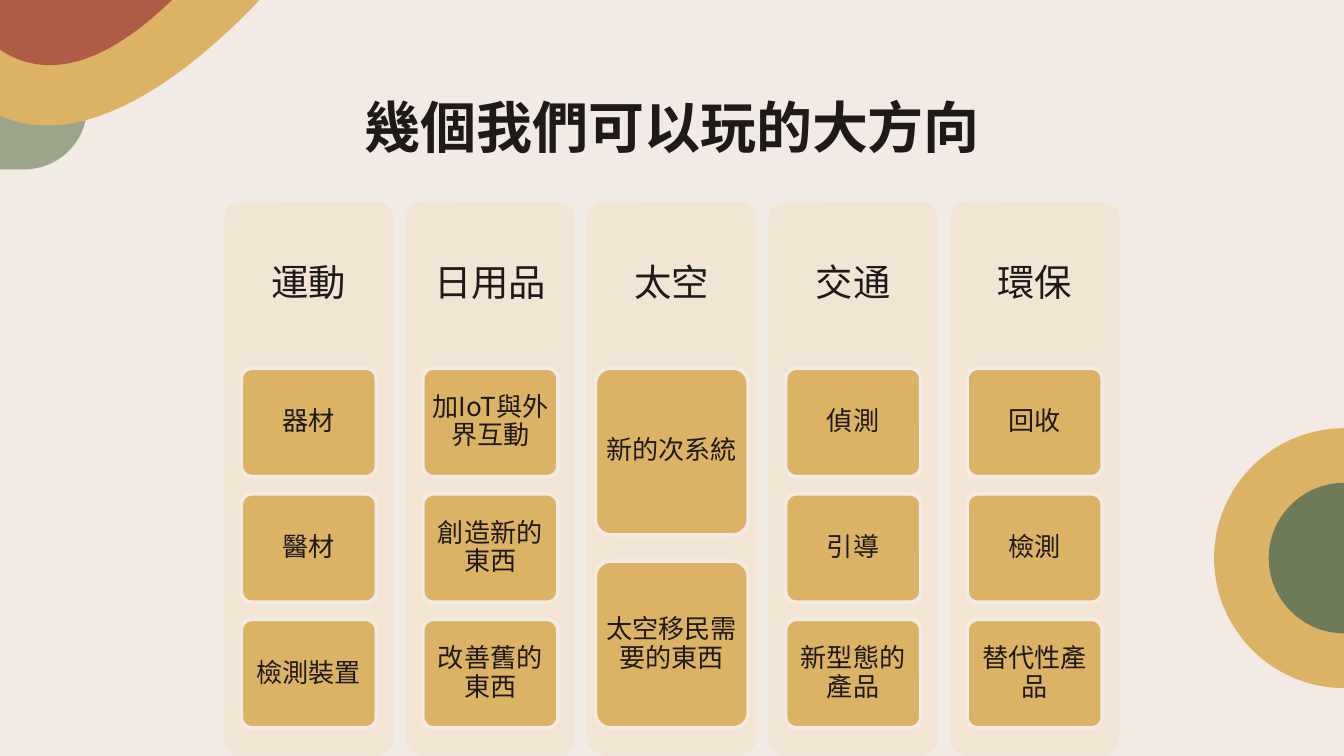
from lxml.etree import SubElement
from pptx import Presentation
from pptx.dml.color import RGBColor
from pptx.enum.shapes import MSO_SHAPE as SHAPE
from pptx.enum.text import MSO_ANCHOR as ANCHOR, PP_ALIGN as ALIGN
from pptx.oxml.ns import qn
from pptx.util import Pt

COLORS = {
    "background": "F1EAE5", "column": "F2E5D3", "gold": "DCB364", "rust": "AF5C46",
    "sage": "9CA589", "green": "6E7B59", "text": "1F191A",
}
RGB = {name: RGBColor.from_string(value) for name, value in COLORS.items()}
FONT = "Noto Sans CJK TC"


def add_curved(s, color, points, curves):
    outline = [(Pt(x), Pt(y)) for x, y in points]
    builder = s.shapes.build_freeform(*outline[0])
    builder.add_line_segments(outline[1:], close=True)
    sp = builder.convert_to_shape()
    segments = list(sp._element.iter(qn("a:lnTo")))
    for i in range(0, 3 * curves, 3):
        bezier = SubElement(segments[i].getparent(), qn("a:cubicBezTo"))
        segments[i].addprevious(bezier)
        for segment in segments[i:i + 3]:
            bezier.append(segment[0])
            segment.getparent().remove(segment)
    sp.shadow.inherit = False
    sp.fill.solid()
    sp.fill.fore_color.rgb = RGB[color]
    sp.line.fill.background()


def write(shape, text, size, inset_x, inset_y, anchor=ANCHOR.MIDDLE, spacing=0.9, bold=False):
    tf = shape.text_frame
    tf.word_wrap = True
    tf.vertical_anchor = anchor
    tf.margin_left = tf.margin_right = Pt(inset_x)
    tf.margin_top = tf.margin_bottom = Pt(inset_y)
    p = tf.paragraphs[0]
    p.text = text
    p.alignment = ALIGN.CENTER
    p.line_spacing = spacing
    p.font.size = Pt(size)
    p.font.bold = bold
    p.font.color.rgb = RGB["text"]
    p.font.name = FONT
    SubElement(p._p.pPr.find(qn("a:defRPr")), qn("a:ea"), typeface=FONT)


prs = Presentation()
prs.slide_width, prs.slide_height = Pt(720), Pt(405)
s = prs.slides.add_slide(prs.slide_layouts[6])
s.background.fill.solid()
s.background.fill.fore_color.rgb = RGB["background"]

corner = [
    ("sage", [(13, 90.7), (31.7, 90.7), (46.6, 75.6), (46.6, 57.6),
              (46.6, 43.9), (0, 43.9), (0, 90.7)]),
    ("gold", [(0, 61.9), (52.6, 85.7), (116.6, 23.8), (139.5, -0.5), (0, -0.5)]),
    ("rust", [(0, 26.6), (30.2, 46.8), (64.1, 27.4), (92.7, -0.5), (0, -0.5)]),
]
for color, points in corner:
    add_curved(s, color, points, 1)

middle = 299
for color, radius in [("gold", 69.6), ("green", 40.3)]:
    k = radius * 0.55
    left = 720 - radius
    upper = [(720, middle - radius), (720 - k, middle - radius), (left, middle - k)]
    lower = [(x, 2 * middle - y) for x, y in reversed(upper)]
    add_curved(s, color, upper + [(left, middle)] + lower, 2)

columns = [
    ("運動", ["器材", "醫材", "檢測裝置"]),
    ("日用品", ["加IoT與外界互動", "創造新的東西", "改善舊的東西"]),
    ("太空", ["新的次系統", "太空移民需要的東西"]),
    ("交通", ["偵測", "引導", "新型態的產品"]),
    ("環保", ["回收", "檢測", "替代性產品"]),
]
card_sizes = {2: (82, 89.4, 103.4), 3: (72.5, 58.2, 67.3)}
column_width, column_top, card_top = 90.6, 108, 197.2

for i, (heading, cards) in enumerate(columns):
    x = 120.2 + 97.2 * i
    width, height, pitch = card_sizes[len(cards)]
    card_left = x + (column_width - width) / 2
    panels = [("column", x, column_top, column_width, 296.8, None)]
    panels += [("gold", card_left, card_top + pitch * j, width, height, card)
               for j, card in enumerate(cards)]
    for color, left, top, w, h, text in panels:
        sp = s.shapes.add_shape(SHAPE.ROUNDED_RECTANGLE, Pt(left), Pt(top), Pt(w), Pt(h))
        sp.adjustments[0] = 0.1
        sp.shadow.inherit = False
        sp.fill.solid()
        sp.fill.fore_color.rgb = RGB[color]
        if text:
            sp.line.color.rgb = RGB["background"]
            sp.line.width = Pt(2)
            write(sp, text, 14, 2.8, 2.1)
        else:
            sp.line.fill.background()
    box = s.shapes.add_textbox(Pt(x), Pt(column_top), Pt(column_width), Pt(89))
    write(box, heading, 20, 6, 6)

title = s.shapes.add_textbox(Pt(56.6), Pt(42.5), Pt(607), Pt(37.4))
write(title, "幾個我們可以玩的大方向", 30, 7.2, 7.2, ANCHOR.TOP, 1.0, True)

prs.save("out.pptx")
